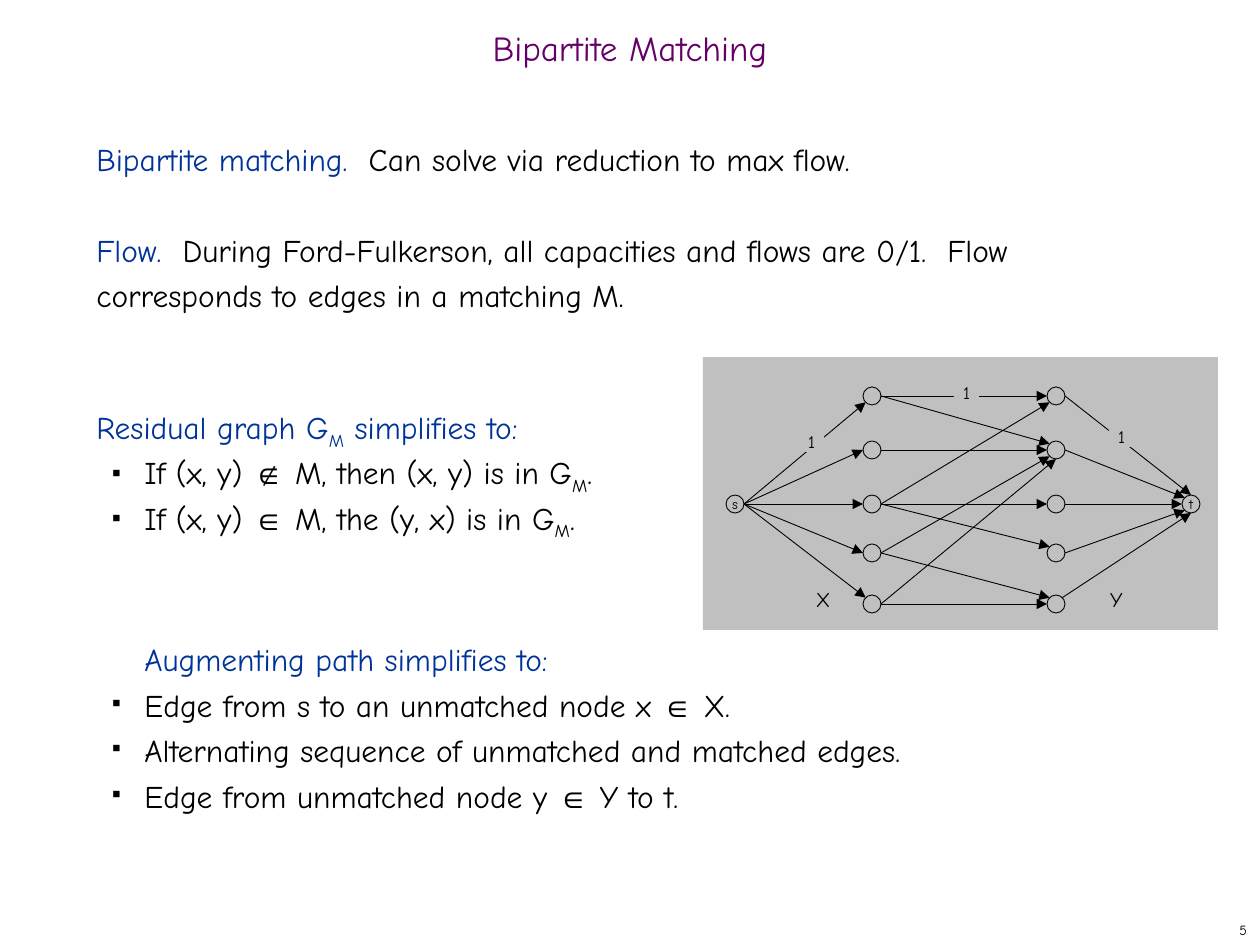
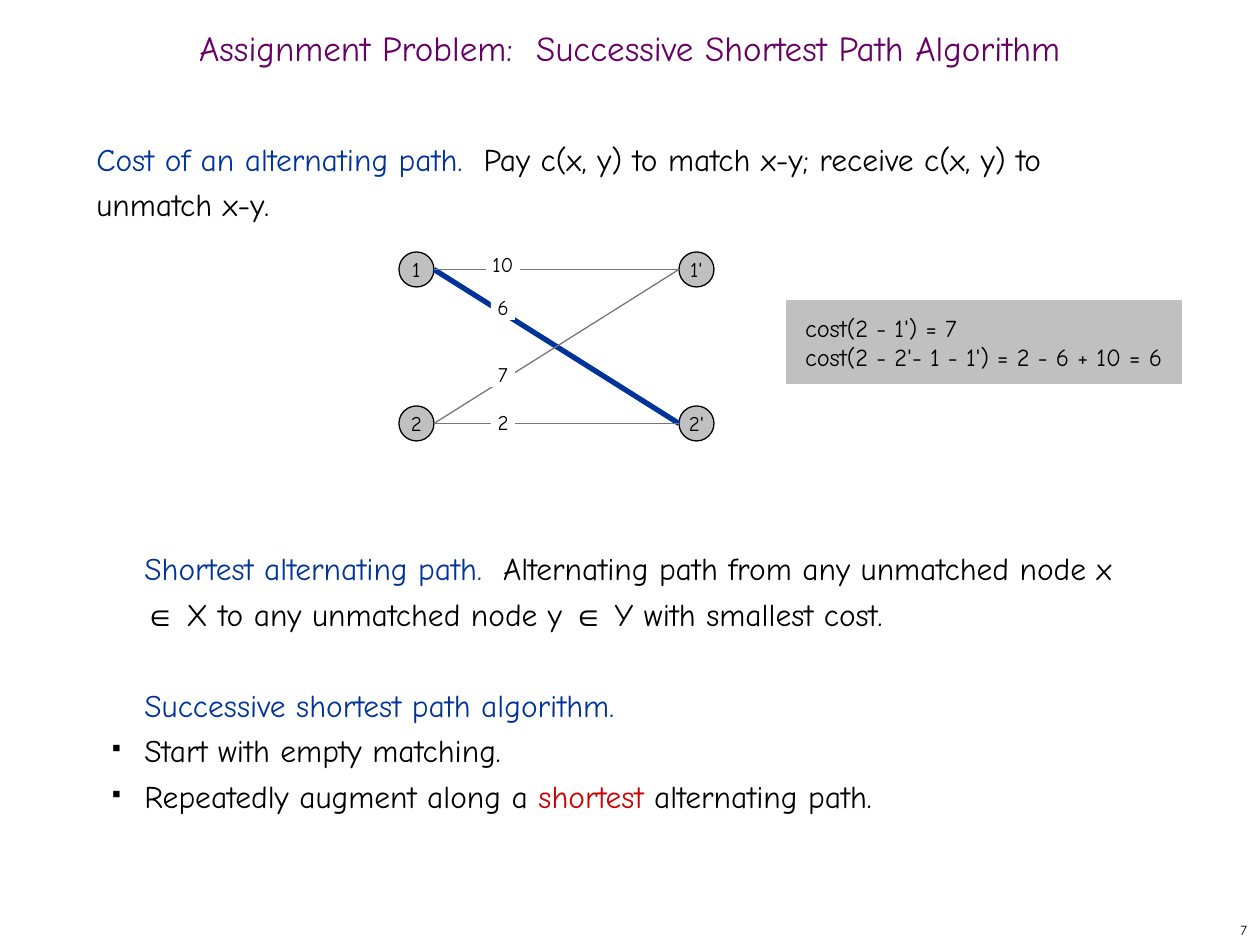
from lxml import etree
from pptx import Presentation
from pptx.dml.color import RGBColor
from pptx.enum.shapes import MSO_CONNECTOR, MSO_SHAPE
from pptx.enum.text import MSO_ANCHOR, PP_ALIGN
from pptx.oxml.ns import qn
from pptx.util import Emu, Pt

EMU_PER_PX = 914400 / 126
BLACK = RGBColor(0x00, 0x00, 0x00)
WHITE = RGBColor(0xFF, 0xFF, 0xFF)
BLUE = RGBColor(0x00, 0x33, 0x99)
PURPLE = RGBColor(0x66, 0x00, 0x66)
RED = RGBColor(0xCC, 0x00, 0x00)
SILVER = RGBColor(0xC0, 0xC0, 0xC0)
GRAY = RGBColor(0x77, 0x77, 0x77)
FONT, SYMBOL_FONT = "Comic Neue", "Arial"

RECTANGLE, OVAL = MSO_SHAPE.RECTANGLE, MSO_SHAPE.OVAL
STRAIGHT = MSO_CONNECTOR.STRAIGHT
TOP_ANCHOR, MIDDLE = MSO_ANCHOR.TOP, MSO_ANCHOR.MIDDLE
ALIGN_LEFT, CENTER, ALIGN_RIGHT = PP_ALIGN.LEFT, PP_ALIGN.CENTER, PP_ALIGN.RIGHT

# Points on a node where edges attach, as fractions of its size
LEFT, RIGHT, TOP, BOTTOM = (0, 0.5), (1, 0.5), (0.5, 0), (0.5, 1)
TOP_LEFT, BOTTOM_LEFT, TOP_RIGHT = (0.15, 0.15), (0.15, 0.85), (0.85, 0.15)

# Body paragraph levels: left margin and first-line indent in px
PLAIN, INDENTED, BULLET = (0, 0), (48, 0), (48, -32)
BODY_LINE = 26

# Run styles
HEADING = {"color": BLUE}
SUBSCRIPT = {"baseline": -25000}
HEADING_SUBSCRIPT = {**HEADING, **SUBSCRIPT}
SYMBOL = {"font": SYMBOL_FONT}
EMPHASIS = {"color": RED}
NORMAL = {}


def px(length):
    return Emu(round(length * EMU_PER_PX))


def add_run(paragraph, text, size, color=BLACK, font=FONT, baseline=None):
    run = paragraph.add_run()
    run.text = text
    run.font.size = Pt(size)
    run.font.name = font
    run.font.color.rgb = color
    if baseline is not None:
        run.font._element.set("baseline", str(baseline))


def write_lines(shape, lines, size, color=BLACK, align=CENTER, anchor=MIDDLE,
                wrap=False, insets=(13, 6)):
    frame = shape.text_frame
    frame.word_wrap = wrap
    frame.vertical_anchor = anchor
    frame.margin_left = frame.margin_right = px(insets[0])
    frame.margin_top = frame.margin_bottom = px(insets[1])
    for index, line in enumerate(lines):
        paragraph = frame.add_paragraph() if index else frame.paragraphs[0]
        paragraph.alignment = align
        add_run(paragraph, line, size, color)
    return frame


def add_text(slide, box, text, size, **options):
    textbox = slide.shapes.add_textbox(*map(px, box))
    return write_lines(textbox, [text], size, **options)


def add_filled(slide, kind, box, fill, line_width=None):
    shape = slide.shapes.add_shape(kind, *map(px, box))
    shape.shadow.inherit = False
    shape.fill.solid()
    shape.fill.fore_color.rgb = fill
    if line_width:
        shape.line.color.rgb = BLACK
        shape.line.width = Pt(line_width)
    else:
        shape.line.fill.background()
    return shape


def add_node(slide, box, line_width, text="", size=8):
    node = add_filled(slide, OVAL, box, SILVER, line_width)
    if text:
        write_lines(node, [text], size)
    return node


def add_edge(slide, start, start_port, end, end_port, color, width, arrow=False):
    points = []
    for node, port in ((start, start_port), (end, end_port)):
        points.append(round(node.left + port[0] * node.width))
        points.append(round(node.top + port[1] * node.height))
    edge = slide.shapes.add_connector(STRAIGHT, *points)
    edge.line.color.rgb = color
    edge.line.width = Pt(width)
    if arrow:
        etree.SubElement(edge.line._get_or_add_ln(), qn("a:tailEnd"), type="triangle")
    etree.SubElement(edge._element.spPr, qn("a:effectLst"))


def add_bullet(paragraph):
    properties = paragraph._p.get_or_add_pPr()
    bullet_color = etree.SubElement(properties, qn("a:buClr"))
    etree.SubElement(bullet_color, qn("a:srgbClr"), val=str(BLACK))
    etree.SubElement(properties, qn("a:buSzPct"), val="35000")
    etree.SubElement(properties, qn("a:buChar"), char="■")


def add_body(slide, box, paragraphs):
    """Each paragraph is (level, lines of space before, runs)."""
    frame = slide.shapes.add_textbox(*map(px, box)).text_frame
    frame.word_wrap = True
    for index, (level, lines_before, runs) in enumerate(paragraphs):
        paragraph = frame.add_paragraph() if index else frame.paragraphs[0]
        paragraph.line_spacing = Pt(BODY_LINE)
        paragraph.space_before = Pt(lines_before * BODY_LINE)
        properties = paragraph._p.get_or_add_pPr()
        properties.set("marL", str(px(level[0])))
        properties.set("indent", str(px(level[1])))
        if level is BULLET:
            add_bullet(paragraph)
        for text, style in runs:
            add_run(paragraph, text, 18, **style)


def add_base_slide(presentation, title, number, paragraphs):
    slide = presentation.slides.add_slide(presentation.slide_layouts[6])
    add_body(slide, (84, 126, 1081, 746), paragraphs)
    frame = add_text(slide, (0, 21, 1260, 63), title, 20, color=PURPLE, wrap=True)
    frame.paragraphs[0].line_spacing = 0.7
    add_text(slide, (998, 914, 262, 31), number, 8, align=ALIGN_RIGHT, wrap=True)
    return slide


def add_flow_network(slide, box):
    left, top = box[:2]
    add_filled(slide, RECTANGLE, box, SILVER)

    # Nodes: source, columns X and Y, sink
    def node(x, y, text=""):
        return add_node(slide, (left + x, top + y, 18, 18), 0.5, text)

    rows = (30, 84, 138, 187, 238)
    source, sink = node(23, 138, "s"), node(479, 138, "t")
    x_nodes = [node(160, y) for y in rows]
    y_nodes = [node(344, y) for y in rows]

    # Edges
    edges = []
    for x_node, port in zip(x_nodes, (BOTTOM_LEFT, LEFT, LEFT, LEFT, TOP_LEFT)):
        edges.append((source, RIGHT, x_node, port))
    for x, y, port in (
        (0, 0, LEFT), (0, 1, TOP_LEFT), (1, 1, LEFT),
        (2, 0, BOTTOM_LEFT), (2, 2, LEFT), (2, 3, TOP_LEFT),
        (3, 1, BOTTOM_LEFT), (3, 4, TOP_LEFT), (4, 1, BOTTOM), (4, 4, LEFT),
    ):
        edges.append((x_nodes[x], RIGHT, y_nodes[y], port))
    sink_ports = (TOP, TOP_LEFT, LEFT, BOTTOM_LEFT, BOTTOM)
    for y_node, port in zip(y_nodes, sink_ports):
        start_port = TOP_RIGHT if y_node is y_nodes[-1] else RIGHT
        edges.append((y_node, start_port, sink, port))
    for edge in edges:
        add_edge(slide, *edge, BLACK, 0.5, arrow=True)

    # Capacities and column names
    for x, y in ((96, 74), (406, 69), (251, 25)):
        label = add_filled(slide, RECTANGLE, (left + x, top + y, 25, 21), SILVER)
        write_lines(label, ["1"], 10, anchor=TOP_ANCHOR, wrap=True, insets=(0, 0))
    for x, name in ((100, "X"), (394, "Y")):
        add_text(slide, (left + x, top + 224, 39, 38), name, 12, anchor=TOP_ANCHOR)


def add_cost_graph(slide, box):
    left, top, width, height = box
    size = 35
    right, bottom = left + width - size, top + height - size
    nodes = {
        name: add_node(slide, (x, y, size, size), 0.75, name, 12)
        for name, x, y in (("1", left, top), ("2", left, bottom),
                           ("1'", right, top), ("2'", right, bottom))
    }

    # Edges, the matched one thick
    for start, end, color, line_width in (
        ("1", "2'", BLUE, 3), ("1", "1'", GRAY, 0.75),
        ("2", "2'", GRAY, 0.75), ("2", "1'", GRAY, 0.75),
    ):
        add_edge(slide, nodes[start], RIGHT, nodes[end], LEFT, color, line_width)

    # Costs, centred on one vertical line
    for cost, y, label_width in (("10", 0, 34), ("6", 43, 24), ("7", 110, 24), ("2", 158, 24)):
        label_box = (left + 104 - label_width / 2, top + y, label_width, 25)
        label = add_filled(slide, RECTANGLE, label_box, WHITE)
        write_lines(label, [cost], 12, anchor=TOP_ANCHOR, insets=(6, 0))


def add_cost_note(slide, box):
    note = add_filled(slide, RECTANGLE, box, SILVER)
    lines = ["cost(2 - 1') = 7", "cost(2 - 2'- 1 - 1') = 2 - 6 + 10 = 6"]
    write_lines(note, lines, 14, align=ALIGN_LEFT, insets=(19, 13))


def build_matching_slide(presentation):
    slide = add_base_slide(presentation, "Bipartite Matching", "5", [
        (PLAIN, 0, [("Bipartite matching.  ", HEADING),
                    ("Can solve via reduction to max flow.", NORMAL)]),
        (PLAIN, 1, [("Flow.  ", HEADING),
                    ("During Ford-Fulkerson, all capacities and flows are 0/1.  "
                     "Flow corresponds to edges in a matching M.", NORMAL)]),
        (PLAIN, 2, [("Residual graph G", HEADING), ("M", HEADING_SUBSCRIPT),
                    (" simplifies to:", HEADING)]),
        (BULLET, 0, [("If (x, y) ", NORMAL), ("∉", SYMBOL),
                     (" M, then (x, y) is in G", NORMAL), ("M", SUBSCRIPT), (".", NORMAL)]),
        (BULLET, 0, [("If (x, y) ", NORMAL), ("∈", SYMBOL),
                     (" M, the (y, x) is in G", NORMAL), ("M", SUBSCRIPT), (".", NORMAL)]),
        (INDENTED, 2, [("Augmenting path simplifies to:", HEADING)]),
        (BULLET, 0, [("Edge from s to an unmatched node x ", NORMAL), ("∈", SYMBOL),
                     (" X.", NORMAL)]),
        (BULLET, 0, [("Alternating sequence of unmatched and matched edges.", NORMAL)]),
        (BULLET, 0, [("Edge from unmatched node y ", NORMAL), ("∈", SYMBOL),
                     (" Y to t.", NORMAL)]),
    ])
    add_flow_network(slide, (703, 357, 515, 273))


def build_assignment_slide(presentation):
    title = "Assignment Problem:  Successive Shortest Path Algorithm"
    slide = add_base_slide(presentation, title, "7", [
        (PLAIN, 0, [("Cost of an alternating path.  ", HEADING),
                    ("Pay c(x, y) to match x-y; receive c(x, y) to unmatch x-y.", NORMAL)]),
        (INDENTED, 7, [("Shortest alternating path.  ", HEADING),
                       ("Alternating path from any unmatched node x ", NORMAL),
                       ("∈", SYMBOL), (" X to any unmatched node y ", NORMAL),
                       ("∈", SYMBOL), (" Y with smallest cost.", NORMAL)]),
        (INDENTED, 1, [("Successive shortest path algorithm.", HEADING)]),
        (BULLET, 0, [("Start with empty matching.", NORMAL)]),
        (BULLET, 0, [("Repeatedly augment along a ", NORMAL), ("shortest", EMPHASIS),
                     (" alternating path.", NORMAL)]),
    ])
    add_cost_graph(slide, (399, 252, 315, 189))
    add_cost_note(slide, (786, 300, 396, 84))


def main():
    presentation = Presentation()
    presentation.slide_width, presentation.slide_height = px(1260), px(945)
    build_matching_slide(presentation)
    build_assignment_slide(presentation)
    presentation.save("out.pptx")


if __name__ == "__main__":
    main()
